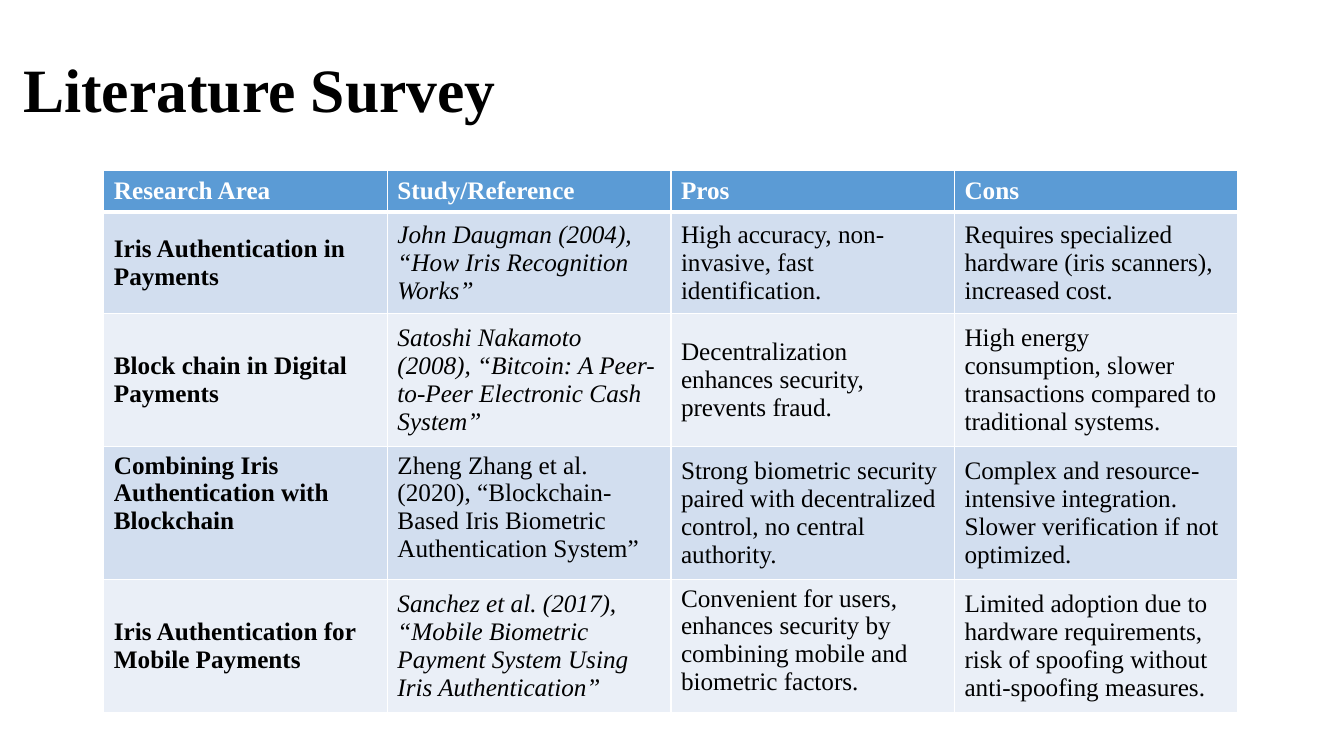
"""Build the literature survey slide with its comparison table."""
from lxml import etree
from pptx import Presentation, util as u
from pptx.dml.color import RGBColor
from pptx.enum import text
from pptx.oxml.ns import qn

COLORS = {
    "header": "5B9BD5",
    "odd": "D2DEEF",
    "even": "EAEFF7",
    "white": "FFFFFF",
    "black": "000000",
}
MIDDLE, TOP = text.MSO_ANCHOR.MIDDLE, text.MSO_ANCHOR.TOP
HEADINGS = ["Research Area", "Study/Reference", "Pros", "Cons"]
STUDIES = [
    ["Iris Authentication in Payments",
     "John Daugman (2004), “How Iris Recognition Works”",
     "High accuracy, non-invasive, fast identification.",
     "Requires specialized hardware (iris scanners), increased cost."],
    ["Block chain in Digital Payments",
     "Satoshi Nakamoto (2008), “Bitcoin: A Peer-to-Peer Electronic Cash System”",
     "Decentralization enhances security, prevents fraud.",
     "High energy consumption, slower transactions compared to traditional systems."],
    ["Combining Iris Authentication with Blockchain",
     "Zheng Zhang et al. (2020), “Blockchain-Based Iris Biometric Authentication System”",
     "Strong biometric security paired with decentralized control, no central authority.",
     "Complex and resource-intensive integration. Slower verification if not optimized."],
    ["Iris Authentication for Mobile Payments",
     "Sanchez et al. (2017), “Mobile Biometric Payment System Using Iris Authentication”",
     "Convenient for users, enhances security by combining mobile and biometric factors.",
     "Limited adoption due to hardware requirements, risk of spoofing without "
     "anti-spoofing measures."],
]
ROW_HEIGHTS = [0.41, 1.01, 1.32, 1.32, 1.32]
TOP_ANCHORED = {(3, 0), (3, 1), (4, 2)}
UPRIGHT_REFERENCE_ROW = 3


def write(frame, content, size=18, color="black", bold=False, italic=False,
          anchor=MIDDLE, spacing=None):
    frame.word_wrap = True
    frame.vertical_anchor = anchor
    paragraph = frame.paragraphs[0]
    paragraph.alignment = text.PP_ALIGN.LEFT
    if spacing:
        paragraph.line_spacing = spacing
    run = paragraph.add_run()
    run.text = content
    font = run.font
    font.name, font.size = "Times New Roman", u.Pt(size)
    font.bold, font.italic = bold, italic
    font.color.rgb = RGBColor.from_string(COLORS[color])


class SurveySlide:
    def __init__(self, presentation):
        self.slide = presentation.slides.add_slide(presentation.slide_layouts[5])

    def title(self, content, left, top, width, height):
        shape = self.slide.shapes.title
        shape.left, shape.top = u.Inches(left), u.Inches(top)
        shape.width, shape.height = u.Inches(width), u.Inches(height)
        shape.text_frame.auto_size = text.MSO_AUTO_SIZE.NONE
        write(shape.text_frame, content, size=44, bold=True, spacing=0.9)

    def borders(self, cell, widths):
        properties = cell._tc.get_or_add_tcPr()
        for side, width in zip("LRTB", widths):
            line = etree.SubElement(properties, qn(f"a:ln{side}"), w=str(u.Pt(width)))
            fill = etree.SubElement(line, qn("a:solidFill"))
            etree.SubElement(fill, qn("a:srgbClr"), val=COLORS["white"])

    def cell(self, cell, content, row, column):
        header = row == 0
        self.borders(cell, (1, 1, 3 if row == 1 else 1, 3 if header else 1))
        fill = "header" if header else "odd" if row % 2 else "even"
        cell.fill.solid()
        cell.fill.fore_color.rgb = RGBColor.from_string(COLORS[fill])
        write(cell.text_frame, content,
              color="white" if header else "black",
              bold=header or column == 0,
              italic=not header and column == 1 and row != UPRIGHT_REFERENCE_ROW)
        cell.vertical_anchor = TOP if (row, column) in TOP_ANCHORED else MIDDLE

    def table(self, rows, heights, left, top, width):
        frame = self.slide.shapes.add_table(
            len(rows), len(rows[0]), u.Inches(left), u.Inches(top),
            u.Inches(width), u.Inches(sum(heights)))
        table = frame.table
        for column in table.columns:
            column.width = u.Inches(width / len(rows[0]))
        for row, (contents, height) in enumerate(zip(rows, heights)):
            table.rows[row].height = u.Inches(height)
            for column, content in enumerate(contents):
                self.cell(table.cell(row, column), content, row, column)


def main():
    presentation = Presentation()
    presentation.slide_width = u.Inches(13.33)
    presentation.slide_height = u.Inches(7.5)
    survey = SurveySlide(presentation)
    survey.title("Literature Survey", 0.13, 0.4, 13.06, 1.04)
    survey.table([HEADINGS] + STUDIES, ROW_HEIGHTS, 1.03, 1.69, 11.25)
    presentation.save("out.pptx")


if __name__ == "__main__":
    main()
